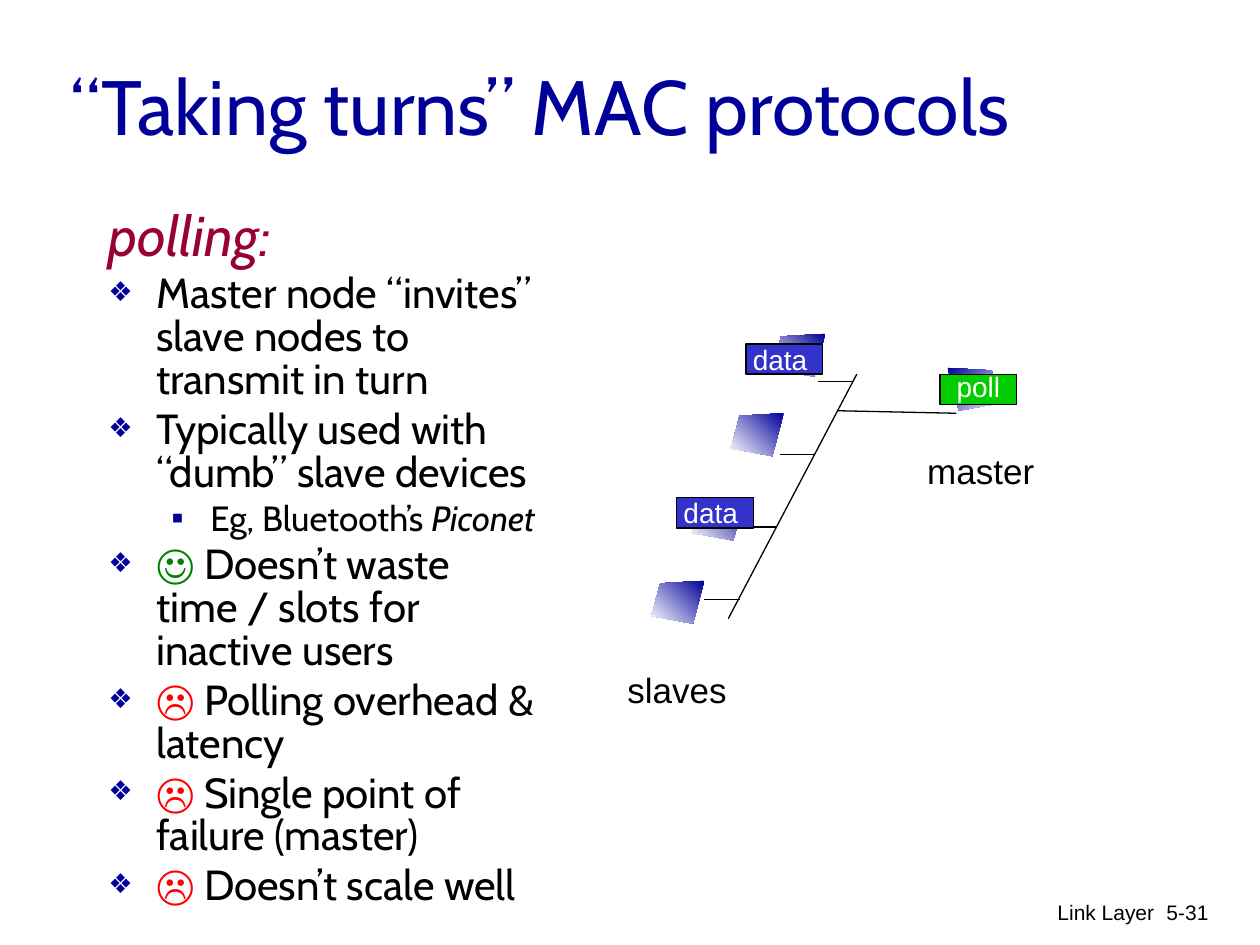
from lxml.etree import SubElement
from pptx import Presentation
from pptx.dml.color import RGBColor
from pptx.enum.shapes import MSO_CONNECTOR, MSO_SHAPE
from pptx.enum.text import MSO_ANCHOR as ANCHOR, MSO_AUTO_SIZE as FIT, PP_ALIGN as ALIGN
from pptx.oxml.ns import qn
from pptx.util import Inches, Pt

NAVY, BLACK, WHITE, BLUE, GREEN = "000099", "000000", "FFFFFF", "3333CC", "00CC00"

TITLE = "“Taking turns” MAC protocols"
HEADING = dict(size=32, color="990033", italic=True)
POINT = dict(size=24, color=BLACK)
DETAIL = dict(size=20, color=BLACK)
PRO = dict(size=24, color="008000", bold=True)
CON = dict(size=24, color="FF0000", bold=True)

# marL, indent, bullet, bullet size in percent
PLAIN = (0.38, -0.38, None, None)
DIAMOND = (0.38, -0.38, "❖", 65)
SQUARE = (0.81, -0.31, "▪", 100)
POLLING = [
    (PLAIN, [("polling:", HEADING)]),
    (DIAMOND, [("Master node “invites” slave nodes to transmit in turn", POINT)]),
    (DIAMOND, [("Typically used with “dumb” slave devices", POINT)]),
    (SQUARE, [("Eg, Bluetooth’s ", DETAIL), ("Piconet", dict(DETAIL, italic=True))]),
    (DIAMOND, [("☺", PRO), (" Doesn’t waste time / slots for inactive users", POINT)]),
    (DIAMOND, [("☹ ", CON), ("Polling overhead & latency", POINT)]),
    (DIAMOND, [("☹ ", CON), ("Single point of failure (master)", POINT)]),
    (DIAMOND, [("☹ ", CON), ("Doesn’t scale well", POINT)]),
]

NODE = [(0, 0), (0.35, 0.02), (0.42, 0.28), (0.09, 0.34)]
SLAVES = [(5.59, 4.61), (5.91, 3.95), (6.22, 3.28), (6.55, 2.65)]  # top right corners
MASTER = (7.52, 2.92)  # top left corner
BUS = (6.8, 2.97, 5.78, 4.91)
MASTER_LINK = (6.65, 3.26, 7.59, 3.28)
FIRST_TAP, TAP_STEP, TAP_LENGTH = (5.59, 4.76), (0.3, -0.577), 0.28

# text, left, top, fill, right inset, bottom inset
MESSAGES = [
    ("poll", 7.46, 2.97, GREEN, 0, 0.05),
    ("data", 5.37, 3.95, BLUE, 0.07, 0),
    ("data", 5.92, 2.73, BLUE, 0.07, 0),
]
# text, left, top, width, height, size, alignment
LABELS = [
    ("master", 7.26, 3.52, 1.05, 0.43, 20, ALIGN.LEFT),
    ("slaves", 4.88, 5.26, 0.99, 0.43, 20, ALIGN.LEFT),
    ("Link Layer", 6.09, 7.09, 3.17, 0.5, 12, ALIGN.RIGHT),
    ("5-31", 8.95, 7.09, 0.74, 0.5, 12, ALIGN.RIGHT),
]


def rgb(color):
    return RGBColor.from_string(color)


def add_run(paragraph, text, size, color, font="Arial", **flags):
    run = paragraph.add_run()
    run.text = text
    run.font.color.rgb = rgb(color)
    formats = dict(name=font, size=Pt(size), **flags)
    for attribute, value in formats.items():
        setattr(run.font, attribute, value)


def set_bullet(paragraph, margin, indent, bullet, percent):
    props = paragraph._p.get_or_add_pPr()
    props.set("marL", str(Inches(margin)))
    props.set("indent", str(Inches(indent)))
    if bullet is None:
        SubElement(props, qn("a:buNone"))
        return
    SubElement(SubElement(props, qn("a:buClr")), qn("a:srgbClr"), val=NAVY)
    SubElement(props, qn("a:buSzPct"), val=str(percent * 1000))
    SubElement(props, qn("a:buFont"), typeface="Arial")
    SubElement(props, qn("a:buChar"), char=bullet)


def place(shape, left, top, width, height, anchor):
    shape.left, shape.top = Inches(left), Inches(top)
    shape.width, shape.height = Inches(width), Inches(height)
    frame = shape.text_frame
    frame.auto_size, frame.word_wrap, frame.vertical_anchor = FIT.NONE, True, anchor
    return frame


def add_node(shapes, corner, direction, angle):
    """Draw a node from its corner; direction -1 mirrors it to the left."""
    x, y = corner
    points = [(Inches(x + direction * dx), Inches(y + dy)) for dx, dy in NODE]
    builder = shapes.build_freeform(*points[0], scale=1.0)
    builder.add_line_segments(points[1:], close=True)
    node = builder.convert_to_shape()
    node.shadow.inherit = False
    node.line.fill.background()
    node.fill.gradient()
    node.fill.gradient_angle = angle
    for stop, color, position in zip(node.fill.gradient_stops, (NAVY, WHITE), (0, 1)):
        stop.color.rgb = rgb(color)
        stop.position = position


def add_line(shapes, *ends):
    line = shapes.add_connector(MSO_CONNECTOR.STRAIGHT, *map(Inches, ends))
    line.line.color.rgb = rgb(BLACK)
    line.line.width = Pt(0.75)
    SubElement(line._element.spPr, qn("a:effectLst"))


def add_message(shapes, text, left, top, fill, right_inset, bottom_inset):
    box = shapes.add_shape(MSO_SHAPE.RECTANGLE, Inches(left), Inches(top),
                           Inches(0.61), Inches(0.24))
    box.shadow.inherit = False
    box.fill.solid()
    box.fill.fore_color.rgb = rgb(fill)
    box.line.color.rgb = rgb(BLACK)
    box.line.width = Pt(0.75)
    frame = box.text_frame
    frame.word_wrap = False
    frame.vertical_anchor = ANCHOR.MIDDLE
    frame.margin_left = frame.margin_top = 0
    frame.margin_right, frame.margin_bottom = Inches(right_inset), Inches(bottom_inset)
    frame.paragraphs[0].alignment = ALIGN.CENTER
    add_run(frame.paragraphs[0], text, 16, WHITE)


def main():
    deck = Presentation()
    deck.slide_width, deck.slide_height = Inches(10), Inches(7.5)
    slide = deck.slides.add_slide(deck.slide_layouts[1])
    shapes = slide.shapes

    title = place(shapes.title, 0.46, 0.21, 8.5, 1.25, ANCHOR.MIDDLE).paragraphs[0]
    title.alignment = ALIGN.LEFT
    add_run(title, TITLE, 44, NAVY, "Cabin")

    body = place(slide.placeholders[1], 0.76, 1.62, 3.78, 5.54, ANCHOR.TOP)
    for index, (style, runs) in enumerate(POLLING):
        paragraph = body.add_paragraph() if index else body.paragraphs[0]
        paragraph.level = 1 if style is SQUARE else 0
        set_bullet(paragraph, *style)
        paragraph.line_spacing = 0.85
        paragraph.space_before = Pt(4 if index else 0)
        for text, formats in runs:
            add_run(paragraph, text, font="Cabin", **formats)

    for corner in SLAVES:
        add_node(shapes, corner, -1, 225)
    add_node(shapes, MASTER, 1, 315)

    add_line(shapes, *BUS)
    add_line(shapes, *MASTER_LINK)
    for index in range(len(SLAVES)):
        x, y = (start + index * step for start, step in zip(FIRST_TAP, TAP_STEP))
        add_line(shapes, x, y, x + TAP_LENGTH, y)

    for message in MESSAGES:
        add_message(shapes, *message)
    for text, left, top, width, height, size, alignment in LABELS:
        box = shapes.add_textbox(0, 0, 0, 0)
        label = place(box, left, top, width, height, ANCHOR.TOP).paragraphs[0]
        label.alignment = alignment
        add_run(label, text, size, BLACK)

    deck.save("out.pptx")


if __name__ == "__main__":
    main()
